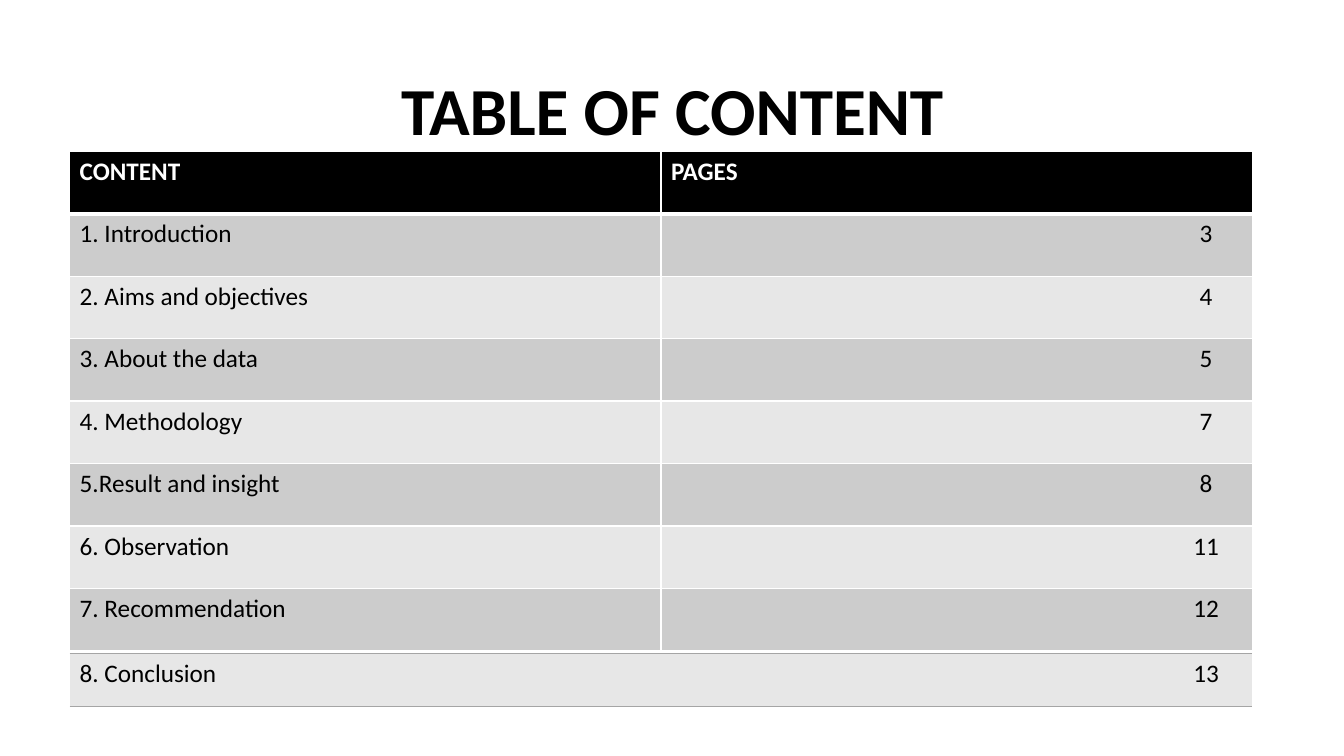
import pptx
import pptx.util
import pptx.dml.color
import pptx.enum.text
import lxml.etree
from pptx.oxml.ns import qn

TITLE = "TABLE OF CONTENT"
HEADER = ("CONTENT", "PAGES")
ENTRIES = [
    ("1. Introduction", "3"),
    ("2. Aims and objectives", "4"),
    ("3. About the data", "5"),
    ("4. Methodology", "7"),
    ("5.Result and insight", "8"),
    ("6. Observation", "11"),
    ("7. Recommendation", "12"),
]
LAST_ENTRY = ("8. Conclusion", "13")
COLORS = {"black": "000000", "white": "FFFFFF", "dark_band": "CCCCCC",
          "light_band": "E7E7E7", "rule": "A5A5A5"}
FONT = "Calibri"
TABLE_LEFT, TABLE_TOP, TABLE_WIDTH = 0.69, 1.5, 11.73
ROW_HEIGHT, LAST_HEIGHT, LAST_TOP = 0.62, 0.53, 6.48
PAGE_INDENT = 5.05

Inches, Pt = pptx.util.Inches, pptx.util.Pt
PP_ALIGN = pptx.enum.text.PP_ALIGN


def rgb(name):
    return pptx.dml.color.RGBColor.from_string(COLORS[name])


def format_runs(para, size, color, bold):
    for span in para.runs:
        span.font.name = FONT
        span.font.size = Pt(size)
        span.font.bold = bold
        span.font.color.rgb = rgb(color)


def set_borders(cell, borders):
    """Draw each side (L, R, T, B) as (color, points); a missing side is empty."""
    properties = cell._tc.get_or_add_tcPr()
    for side in "LRTB":
        line = lxml.etree.SubElement(properties, qn(f"a:ln{side}"))
        if side in borders:
            color, points = borders[side]
            line.set("w", str(Pt(points)))
            fill = lxml.etree.SubElement(line, qn("a:solidFill"))
            lxml.etree.SubElement(fill, qn("a:srgbClr")).set("val", COLORS[color])
        else:
            lxml.etree.SubElement(line, qn("a:noFill"))


def fill_cell(cell, text, fill, borders, header=False, page_number=False):
    set_borders(cell, borders)
    cell.fill.solid()
    cell.fill.fore_color.rgb = rgb(fill)
    cell.text_frame.text = text
    para = cell.text_frame.paragraphs[0]
    format_runs(para, 18, "white" if header else "black", header)
    if page_number:
        cell.margin_left = Inches(PAGE_INDENT)
        para.alignment = PP_ALIGN.CENTER


def add_plain_table(slide, row_count, top, row_height):
    frame = slide.shapes.add_table(row_count, 2, Inches(TABLE_LEFT), Inches(top),
                                   Inches(TABLE_WIDTH), Inches(row_height * row_count))
    table = frame.table
    table.first_row = table.horz_banding = False
    return table


def main():
    deck = pptx.Presentation()
    deck.slide_width, deck.slide_height = Inches(13.33), Inches(7.5)
    slide = deck.slides.add_slide(deck.slide_layouts[6])

    box = slide.shapes.add_textbox(Inches(0.92), Inches(0.4), Inches(11.5), Inches(1.45))
    frame = box.text_frame
    frame.word_wrap = True
    frame.vertical_anchor = pptx.enum.text.MSO_ANCHOR.MIDDLE
    frame.text = TITLE
    para = frame.paragraphs[0]
    para.alignment = PP_ALIGN.CENTER
    para.line_spacing = 0.9
    format_runs(para, 48, "black", True)

    grid = {side: ("white", 1) for side in "LRTB"}
    under_header = ("white", 3)
    rows = [HEADER] + ENTRIES
    contents = add_plain_table(slide, len(rows), TABLE_TOP, ROW_HEIGHT)
    for index, row in enumerate(rows):
        header = index == 0
        fill = "black" if header else ("light_band", "dark_band")[index % 2]
        borders = dict(grid)
        if header:
            borders["B"] = under_header
        elif index == 1:
            borders["T"] = under_header
        for column, text in enumerate(row):
            fill_cell(contents.cell(index, column), text, fill, borders,
                      header, page_number=column == 1 and not header)

    conclusion = add_plain_table(slide, 1, LAST_TOP, LAST_HEIGHT)
    rules = {side: ("rule", 1) for side in "TB"}
    for column, text in enumerate(LAST_ENTRY):
        fill_cell(conclusion.cell(0, column), text, "light_band", rules,
                  page_number=column == 1)

    deck.save("out.pptx")


if __name__ == "__main__":
    main()
